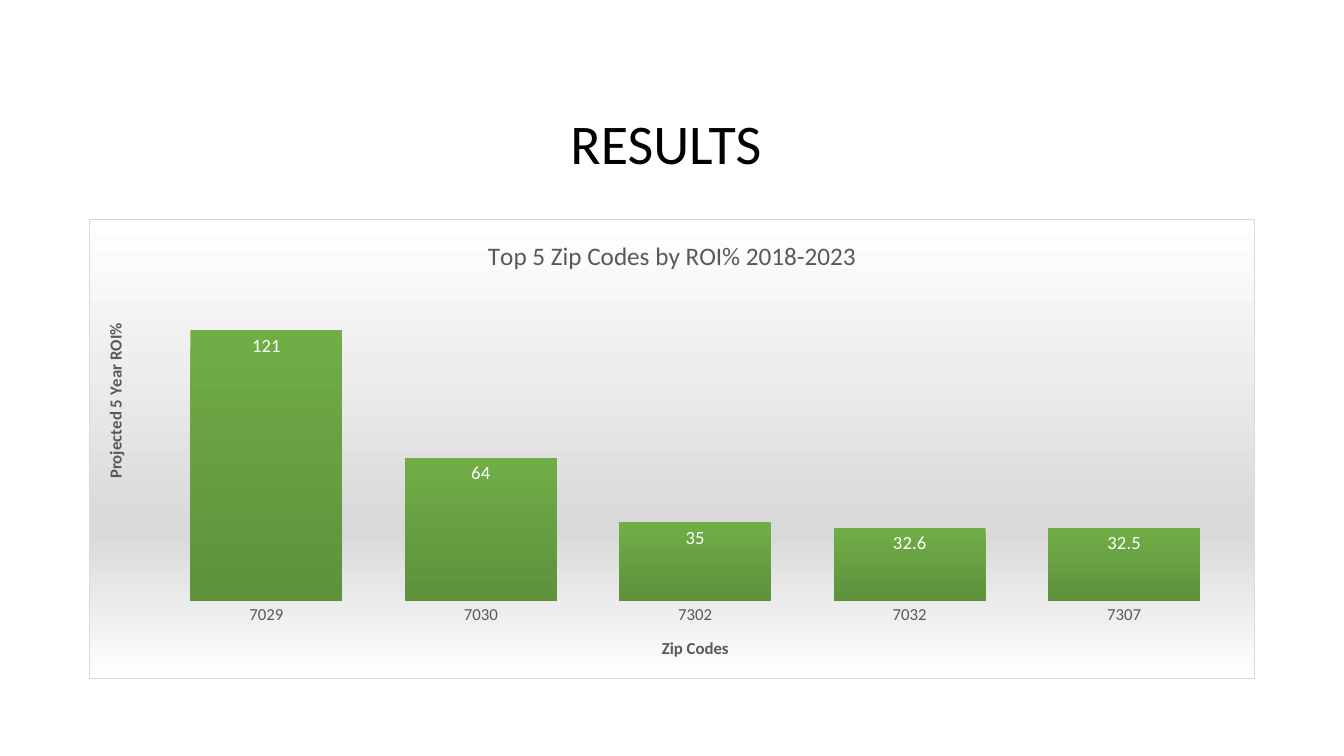
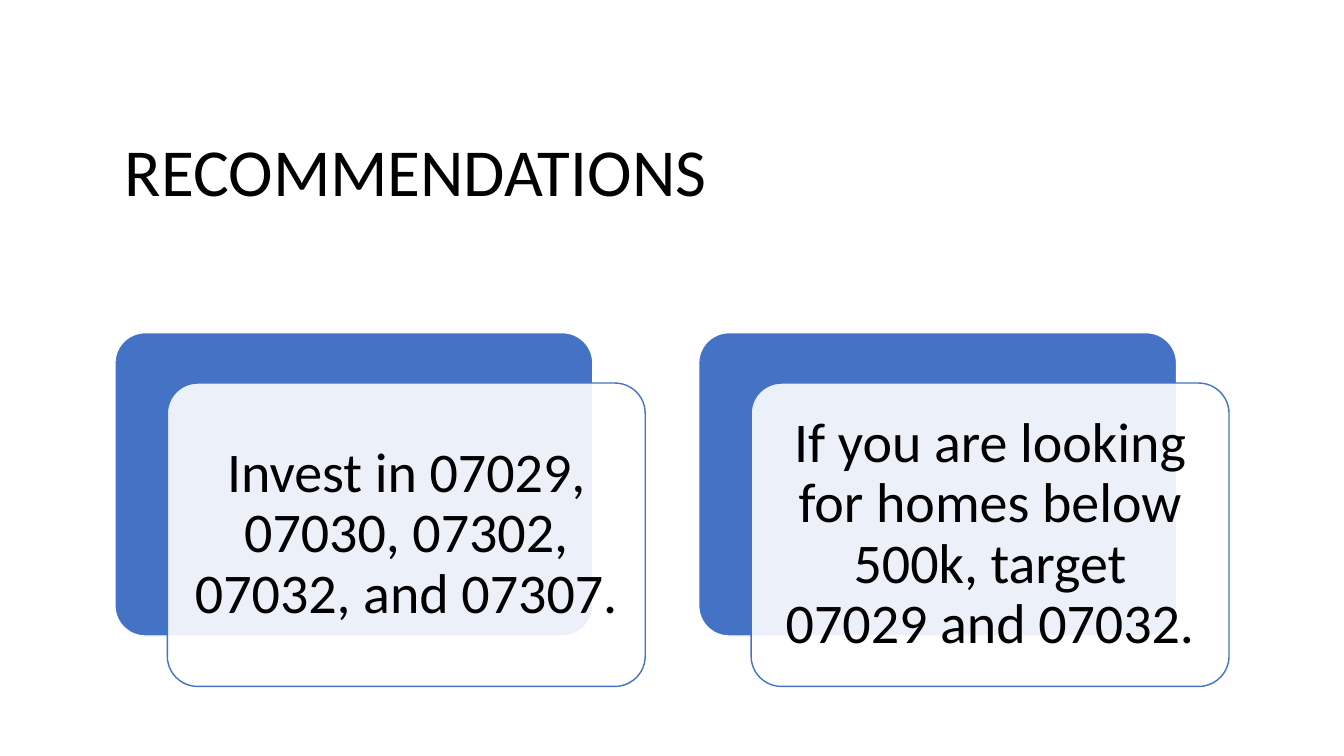
from dataclasses import dataclass

from pptx import Presentation
from pptx.chart.data import CategoryChartData
from pptx.dml.color import RGBColor
from pptx.enum.chart import XL_CHART_TYPE, XL_LABEL_POSITION, XL_TICK_MARK
from pptx.enum.shapes import MSO_SHAPE
from pptx.enum.text import MSO_ANCHOR, PP_ALIGN
from pptx.oxml import parse_xml
from pptx.oxml.ns import nsdecls, qn
from pptx.util import Inches, Pt


@dataclass(frozen=True)
class Theme:
    font: str = "Calibri"
    black: str = "000000"
    white: str = "FFFFFF"
    blue: str = "4472C4"
    grey: str = "595959"
    border: str = "D9D9D9"
    green: str = "70AD47"
    dark_green: str = "5E913C"
    heading: float = 48
    body: float = 40
    chart_title: float = 18
    bar_label: float = 13.3
    axis: float = 12


THEME = Theme()

RESULTS = {
    "title": "RESULTS",
    "chart": "Top 5 Zip Codes by ROI% 2018-2023",
    "x": "Zip Codes",
    "y": "Projected 5 Year ROI%",
    "bars": [("7029", 121), ("7030", 64), ("7302", 35), ("7032", 32.6), ("7307", 32.5)],
}
RECOMMENDATIONS = {
    "title": "RECOMMENDATIONS",
    "cards": [
        "Invest in 07029, 07030, 07302, 07032, and 07307.",
        "If you are looking for homes below 500k, target 07029 and 07032.",
    ],
}

CARD_LEFT, CARD_TOP, CARD_PITCH = 1.14, 3.3, 5.79
CARD_WIDTH, CARD_HEIGHT = 4.74, 3.01
CARD_SHIFT = (0.52, 0.5)
CARD_INSET = 0.17


def rgb(color):
    return RGBColor.from_string(color)


def style(font, size, color, bold=False):
    font.name, font.size, font.bold = THEME.font, Pt(size), bold
    font.color.rgb = rgb(color)


def write(frame, text, size, align):
    frame.word_wrap = True
    frame.vertical_anchor = MSO_ANCHOR.MIDDLE
    para = frame.paragraphs[0]
    para.text, para.alignment, para.line_spacing = text, align, 0.9
    style(para.font, size, THEME.black)


def add_heading(page, text, bounds, size, align):
    box = page.shapes.add_textbox(*map(Inches, bounds))
    write(box.text_frame, text, size, align)


def add_panel(page, left, top, fill, line):
    panel = page.shapes.add_shape(
        MSO_SHAPE.ROUNDED_RECTANGLE,
        *map(Inches, (left, top, CARD_WIDTH, CARD_HEIGHT)))
    panel.adjustments[0] = 0.1
    panel.shadow.inherit = False
    panel.fill.solid()
    panel.fill.fore_color.rgb = rgb(fill)
    panel.line.color.rgb = rgb(line)
    panel.line.width = Pt(1)
    return panel


def add_card(page, left, text):
    """A blue panel with a translucent white text panel shifted over it."""
    add_panel(page, left, CARD_TOP, THEME.blue, THEME.white)
    front = add_panel(page, left + CARD_SHIFT[0], CARD_TOP + CARD_SHIFT[1],
                      THEME.white, THEME.blue)
    color = front.fill._xPr.find(qn("a:solidFill"))[0]
    color.append(parse_xml(f'<a:alpha {nsdecls("a")} val="90000"/>'))
    frame = front.text_frame
    frame.margin_left = frame.margin_right = Inches(CARD_INSET)
    frame.margin_top = frame.margin_bottom = Inches(CARD_INSET)
    write(frame, text, THEME.body, PP_ALIGN.CENTER)


def gradient_properties(stops, line=""):
    """Chart shape properties with a top-to-bottom gradient of (percent, colour)."""
    marks = "".join(f'<a:gs pos="{percent * 1000}"><a:srgbClr val="{color}"/></a:gs>'
                    for percent, color in stops)
    outline = f'<a:solidFill><a:srgbClr val="{line}"/></a:solidFill>' if line else "<a:noFill/>"
    return parse_xml(
        f'<c:spPr {nsdecls("c", "a")}><a:gradFill><a:gsLst>{marks}</a:gsLst>'
        f'<a:lin ang="5400000" scaled="0"/></a:gradFill>'
        f'<a:ln w="{Pt(0.75)}">{outline}</a:ln></c:spPr>')


def place(parent, index, target="", **shares):
    """Fix a chart part at shares of the chart's size."""
    for old in parent.findall(qn("c:layout")):
        parent.remove(old)
    inner = f'<c:layoutTarget val="{target}"/>' if target else ""
    modes = "".join(f'<c:{key}Mode val="edge"/>' for key in "xy")
    sizes = "".join(f'<c:{key} val="{share}"/>' for key, share in shares.items())
    parent.insert(index, parse_xml(
        f'<c:layout {nsdecls("c")}><c:manualLayout>{inner}{modes}{sizes}'
        f'</c:manualLayout></c:layout>'))


def set_title(owner, text, size, bold=False):
    """Title a chart or an axis."""
    owner.has_title = True
    title = owner.chart_title if hasattr(owner, "chart_title") else owner.axis_title
    para = title.text_frame.paragraphs[0]
    para.text = text
    style(para.font, size, THEME.grey, bold)
    return title


def add_roi_chart(page, content):
    data = CategoryChartData()
    data.categories = [code for code, _ in content["bars"]]
    data.add_series("Series 1", [roi for _, roi in content["bars"]])
    chart = page.shapes.add_chart(
        XL_CHART_TYPE.COLUMN_CLUSTERED,
        *map(Inches, (0.88, 2.17, 11.57, 4.57)), data).chart
    chart.has_legend = False
    style(chart.font, THEME.axis, THEME.grey)
    set_title(chart, content["chart"], THEME.chart_title)
    chart._chartSpace.find(qn("c:chart")).addnext(gradient_properties(
        [(0, THEME.white), (68, THEME.border), (100, THEME.white)], THEME.border))

    codes, values = chart.category_axis, chart.value_axis
    set_title(codes, content["x"], THEME.axis, bold=True)
    codes.major_tick_mark = XL_TICK_MARK.NONE
    codes.format.line.fill.background()
    style(codes.tick_labels.font, THEME.axis, THEME.grey)

    values.minimum_scale, values.maximum_scale = 0, 140
    values.has_major_gridlines = False
    values.visible = False
    title = set_title(values, content["y"], THEME.axis, bold=True)
    title.text_frame._txBody.bodyPr.set("rot", "-5400000")
    title.text_frame._txBody.bodyPr.set("vert", "horz")
    place(title._element, 1, x=0.01, y=0.22)

    plot = chart.plots[0]
    plot.gap_width, plot.vary_by_categories = 41, False
    series = plot.series[0]
    old = series._element.get_or_add_spPr()
    series._element.replace(old, gradient_properties(
        [(0, THEME.green), (100, THEME.dark_green)]))
    labels = series.data_labels
    labels.show_value = True
    labels.position = XL_LABEL_POSITION.INSIDE_END
    style(labels.font, THEME.bar_label, THEME.white)
    place(chart._chartSpace.find(".//" + qn("c:plotArea")), 0, "inner",
          x=0.06, y=0.15, w=0.92, h=0.68)


def main():
    deck = Presentation()
    deck.slide_width, deck.slide_height = Inches(13.33), Inches(7.5)
    blank = deck.slide_layouts[6]

    page = deck.slides.add_slide(blank)
    add_heading(page, RESULTS["title"], (1.86, 0.88, 9.49, 1.15),
                THEME.body, PP_ALIGN.CENTER)
    add_roi_chart(page, RESULTS)

    page = deck.slides.add_slide(blank)
    add_heading(page, RECOMMENDATIONS["title"], (1.14, 0.88, 11.13, 1.7),
                THEME.heading, PP_ALIGN.LEFT)
    for column, text in enumerate(RECOMMENDATIONS["cards"]):
        add_card(page, CARD_LEFT + column * CARD_PITCH, text)

    deck.save("out.pptx")


if __name__ == "__main__":
    main()
